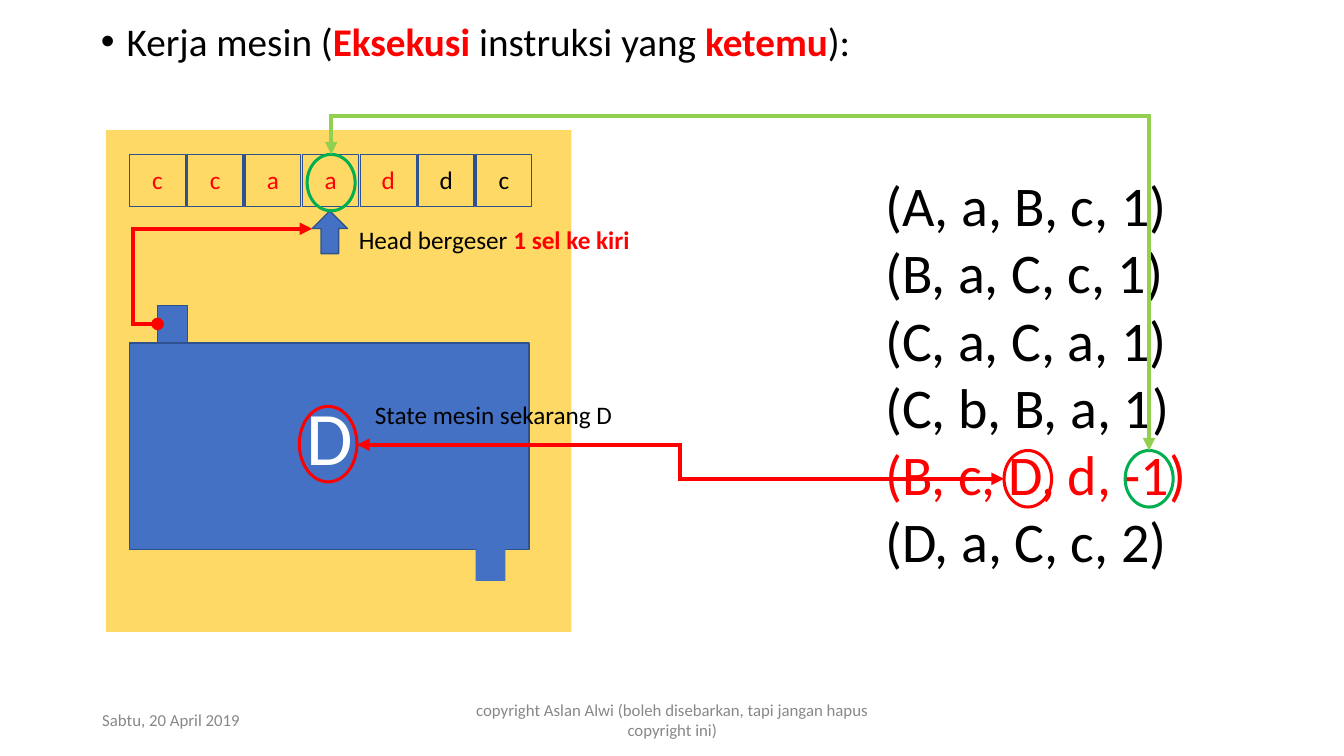
from lxml.etree import SubElement
from pptx import Presentation
from pptx.dml.color import RGBColor
from pptx.enum.shapes import MSO_SHAPE
from pptx.enum.text import MSO_ANCHOR, PP_ALIGN
from pptx.oxml.ns import qn
from pptx.util import Pt

COLOURS = {
    "black": "000000", "white": "FFFFFF", "red": "FF0000", "grey": "888888",
    "tape": "FFD966", "machine": "4471C4", "edge": "2E528F",
    "ring": "00AF50", "move": "92D050",
}


def colour(name):
    return RGBColor.from_string(COLOURS[name])


class MachineSlide:
    font = "Calibri"

    def __init__(self, presentation):
        self.slide = presentation.slides.add_slide(presentation.slide_layouts[6])

    def style(self, shape, fill=None, line=None, width=0.96):
        shape.shadow.inherit = False
        if fill:
            shape.fill.solid()
            shape.fill.fore_color.rgb = colour(fill)
        else:
            shape.fill.background()
        if line:
            shape.line.color.rgb = colour(line)
            shape.line.width = Pt(width)
        else:
            shape.line.fill.background()

    def shape(self, kind, left, top, width, height, fill=None, line=None, line_width=0.96):
        shape = self.slide.shapes.add_shape(kind, Pt(left), Pt(top), Pt(width), Pt(height))
        self.style(shape, fill, line, line_width)
        return shape

    def box(self, *place, fill="machine", line="edge"):
        return self.shape(MSO_SHAPE.RECTANGLE, *place, fill, line)

    def ring(self, left, top, width, height, line):
        return self.shape(MSO_SHAPE.OVAL, left, top, width, height, None, line, 2.16)

    def route(self, points, line, start=None):
        """Bent line with an arrowhead at its last point."""
        corners = [(Pt(x), Pt(y)) for x, y in points]
        builder = self.slide.shapes.build_freeform(*corners[0])
        builder.add_line_segments(corners[1:], close=False)
        shape = builder.convert_to_shape()
        self.style(shape, None, line, 3)
        outline = shape.line.fill._xPr
        SubElement(outline, qn("a:miter"), lim="800000")
        if start:
            SubElement(outline, qn("a:headEnd"), type=start)
        SubElement(outline, qn("a:tailEnd"), type="triangle")

    def add_runs(self, paragraph, runs, size):
        """Fill a paragraph from (text, colour, bold) runs."""
        for text, name, bold in runs:
            run = paragraph.add_run()
            run.text = text
            run.font.name = self.font
            run.font.size = Pt(size)
            run.font.bold = bold
            run.font.color.rgb = colour(name)

    def text(self, left, top, width, height, size, paragraphs,
             align=PP_ALIGN.LEFT, line_spacing=None):
        shape = self.slide.shapes.add_textbox(Pt(left), Pt(top), Pt(width), Pt(height))
        frame = shape.text_frame
        frame.word_wrap = True
        frame.margin_left = frame.margin_top = frame.margin_right = frame.margin_bottom = 0
        for index, runs in enumerate(paragraphs):
            paragraph = frame.add_paragraph() if index else frame.paragraphs[0]
            paragraph.alignment = align
            if line_spacing:
                paragraph.line_spacing = Pt(line_spacing)
            self.add_runs(paragraph, runs, size)
        return shape

    def bullet(self, shape, indent):
        properties = shape.text_frame.paragraphs[0]._p.get_or_add_pPr()
        properties.set("marL", str(Pt(indent)))
        properties.set("indent", str(-Pt(indent)))
        SubElement(properties, qn("a:buFont"), typeface="Arial")
        SubElement(properties, qn("a:buChar"), char="•")

    def cell(self, left, top, width, height, letter, name):
        shape = self.box(left, top, width, height, fill="tape")
        frame = shape.text_frame
        frame.margin_left = frame.margin_right = frame.margin_top = 0
        frame.margin_bottom = Pt(2)
        frame.vertical_anchor = MSO_ANCHOR.MIDDLE
        frame.paragraphs[0].alignment = PP_ALIGN.CENTER
        self.add_runs(frame.paragraphs[0], [(letter, name, False)], 18)


def main():
    presentation = Presentation()
    presentation.slide_width, presentation.slide_height = Pt(960), Pt(540)
    page = MachineSlide(presentation)

    # Background panel and title
    page.box(75.6, 92.9, 332.6, 358.5, fill="tape", line=None)
    title = page.text(72, 12.5, 538, 35, 28, [[
        ("Kerja mesin (", "black", False), ("Eksekusi ", "red", True),
        ("instruksi yang ", "black", False), ("ketemu", "red", True),
        ("):", "black", False)]])
    page.bullet(title, 18.5)

    # Instruction list, with the matching one in red
    instructions = ["(A, a, B, c, 1)", "(B, a, C, c, 1)", "(C, a, C, a, 1)",
                    "(C, b, B, a, 1)", "(B, c, D, d, -1)", "(D, a, C, c, 2)"]
    matching = 4
    page.text(632.2, 122, 225, 288, 40,
              [[(text, "red" if row == matching else "black", False)]
               for row, text in enumerate(instructions)], line_spacing=48)

    # Tape
    for index, letter in enumerate("ccaaddc"):
        page.cell(92.4 + 41.25 * index, 110.4, 40, 37.2, letter,
                  "red" if index < 5 else "black")

    # Head and machine
    page.shape(MSO_SHAPE.UP_ARROW, 223, 150.7, 25.2, 30.5, "machine", "edge")
    page.box(92.4, 244.9, 285.4, 147.5)
    page.box(112.6, 218.2, 21.2, 26.7)
    page.box(339.8, 388.8, 21.2, 26.2, line=None)
    page.text(218.9, 278.5, 40, 66, 54, [[("D", "white", False)]])

    # Rings around the matched symbols
    page.ring(219.4, 110.3, 34.3, 40.3, "ring")
    page.ring(213.8, 290.2, 41.2, 54, "red")
    page.ring(717.2, 321.8, 34, 40.4, "red")
    page.ring(803.7, 321.8, 34.3, 40.4, "ring")

    # Bent arrows
    page.route([(112.6, 231.4), (94.8, 231.4), (94.8, 163.4), (223, 163.4)], "red", "oval")
    page.route([(717.2, 342), (486, 342), (486, 317.6), (255, 317.6)], "red", "triangle")
    page.route([(820.8, 321.8), (820.8, 82.8), (236.6, 82.8), (236.6, 110.3)], "move",
               "triangle")

    # Labels
    page.text(256.3, 160.3, 210, 23, 18,
              [[("Head bergeser ", "black", False), ("1 sel ke kiri", "red", True)]])
    page.text(267.8, 285.5, 190, 23, 18, [[("State mesin sekarang D", "black", False)]])

    # Footer
    page.text(339.1, 500, 282.2, 30, 12,
              [[("copyright Aslan Alwi (boleh disebarkan, tapi jangan hapus", "grey", False)],
               [("copyright ini)", "grey", False)]], PP_ALIGN.CENTER)
    page.text(73, 507, 110, 15, 12, [[("Sabtu, 20 April 2019", "grey", False)]])

    presentation.save("out.pptx")


if __name__ == "__main__":
    main()
